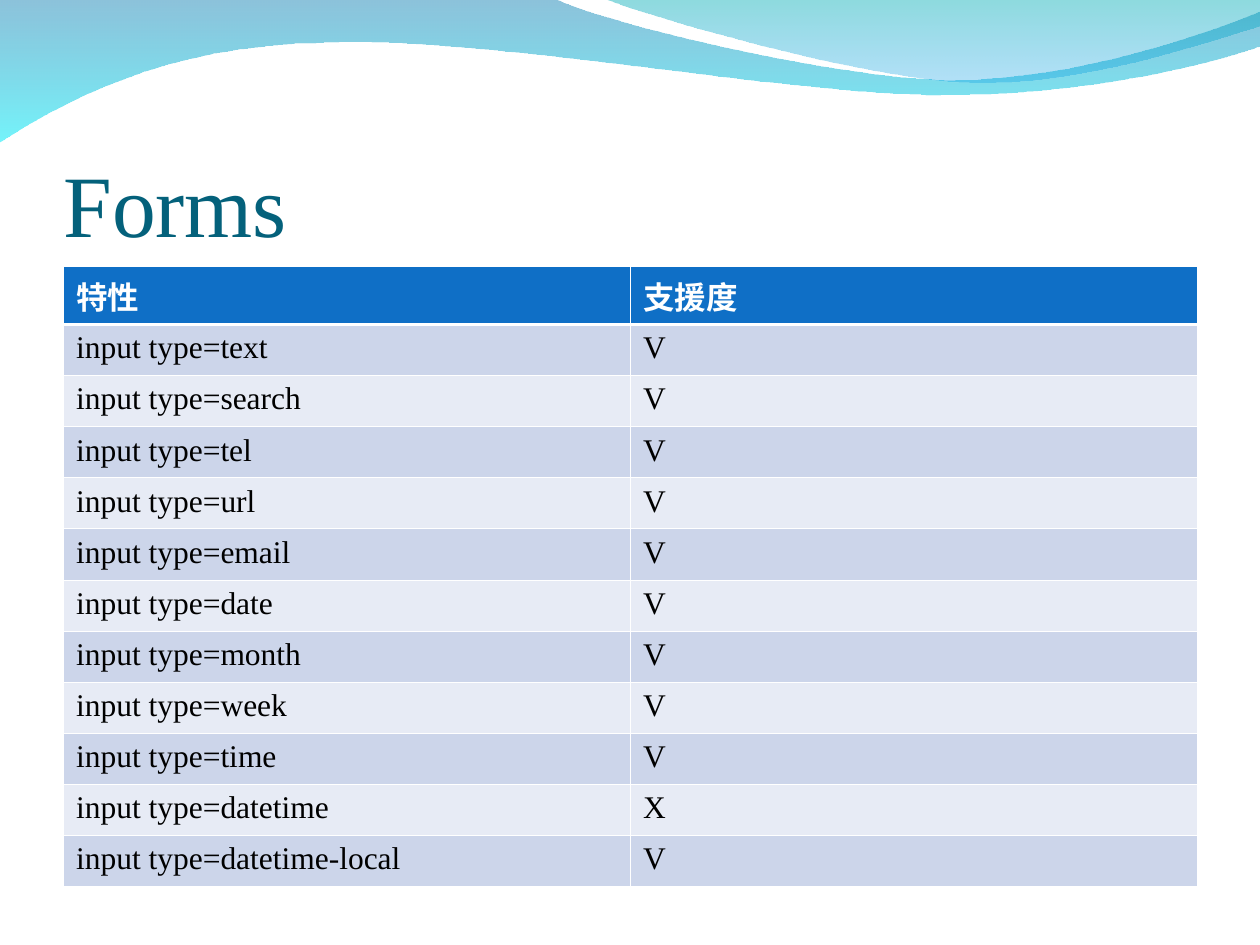
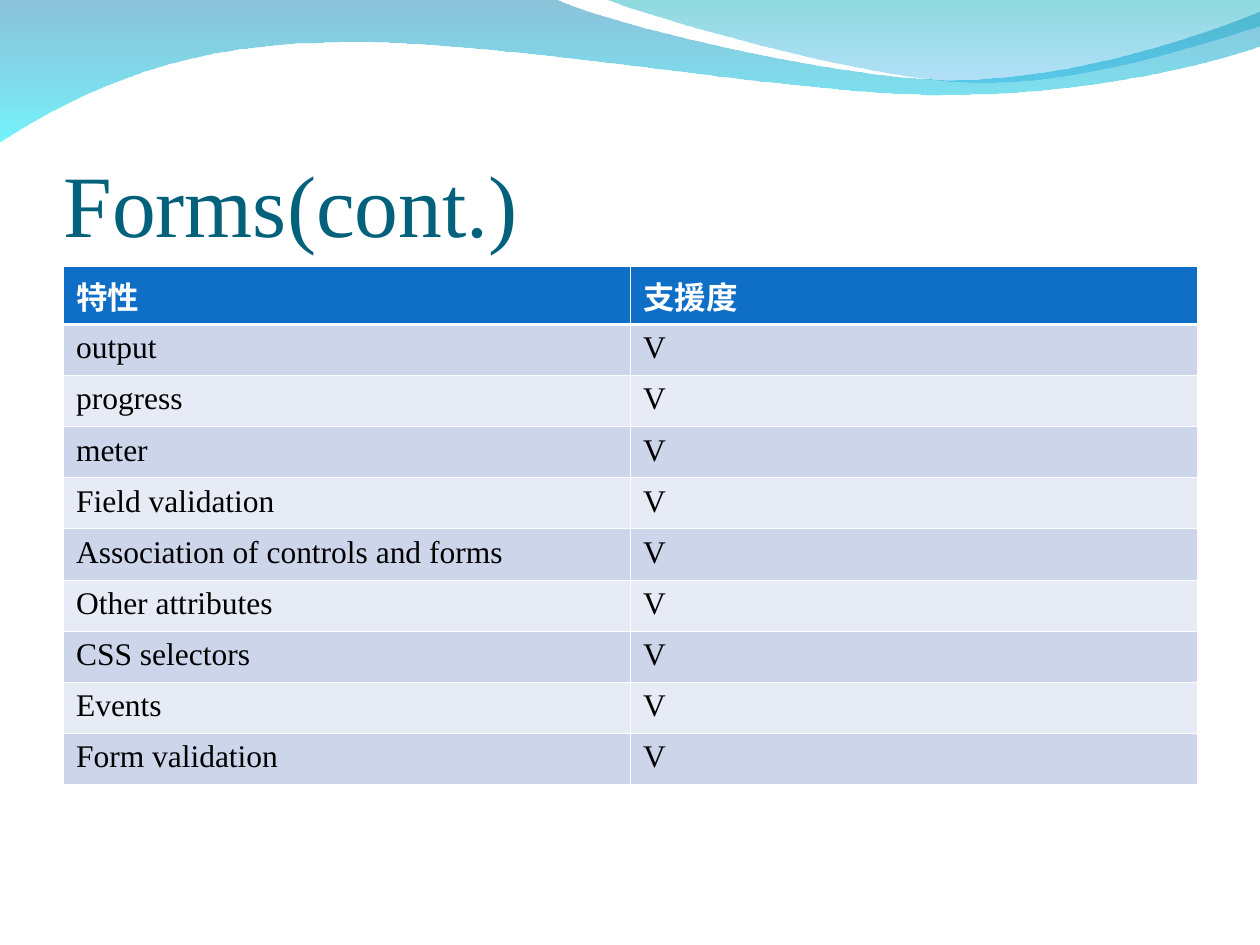
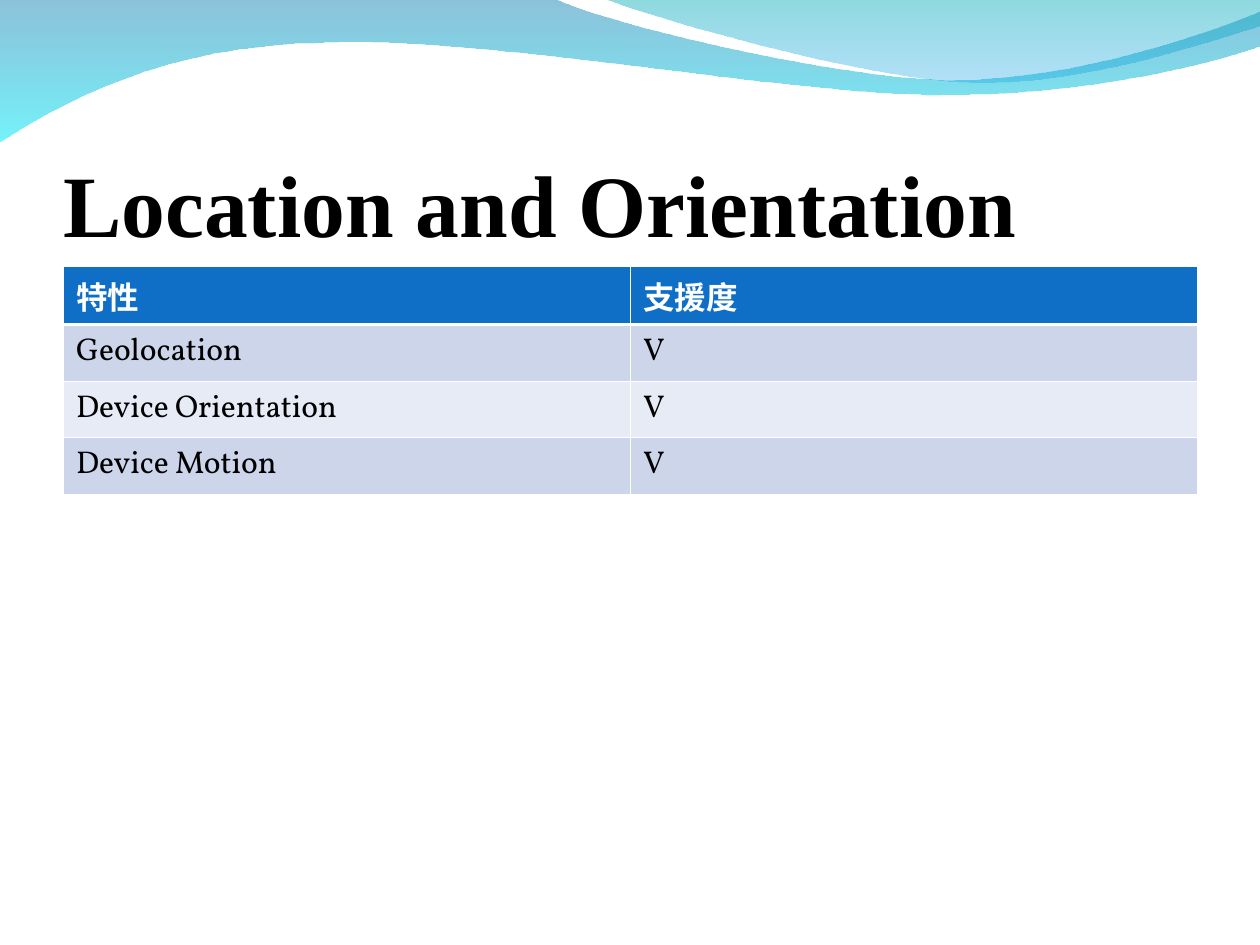
from lxml import etree
from pptx import Presentation
from pptx.dml.color import RGBColor
from pptx.enum.text import MSO_ANCHOR
from pptx.oxml import parse_xml
from pptx.oxml.ns import nsdecls, qn
from pptx.util import Cm, Pt

BOTTOM = MSO_ANCHOR.BOTTOM

SERIF = "Times New Roman"
HEADER_FONT = "Noto Sans CJK SC"
TEAL, BLACK, WHITE = "04617B", "000000", "FFFFFF"
HEADER_FILL = "0F6FC6"
BAND_FILLS = ("CCD5EA", "E7EBF5")
THIN, THICK = 0.45, 1.47

LEFT = 1.28
COLUMN_WIDTH = 11.43
TABLE_TOP = 5.37
HEADER_HEIGHT = 1.17
ROW_HEIGHTS = {SERIF: 1.03, "Vollkorn": 1.14}

HEADER = ("特性", "支援度")

SLIDES = [
    {
        "title": "Forms", "title_color": TEAL, "title_bold": False, "font": SERIF,
        "rows": [
            ("input type=text", "V"),
            ("input type=search", "V"),
            ("input type=tel", "V"),
            ("input type=url", "V"),
            ("input type=email", "V"),
            ("input type=date", "V"),
            ("input type=month", "V"),
            ("input type=week", "V"),
            ("input type=time", "V"),
            ("input type=datetime", "X"),
            ("input type=datetime-local", "V"),
        ],
    },
    {
        "title": "Forms(cont.)", "title_color": TEAL, "title_bold": False, "font": SERIF,
        "rows": [
            ("output", "V"),
            ("progress", "V"),
            ("meter", "V"),
            ("Field validation", "V"),
            ("Association of controls and forms", "V"),
            ("Other attributes", "V"),
            ("CSS selectors", "V"),
            ("Events", "V"),
            ("Form validation", "V"),
        ],
    },
    {
        "title": "Location and Orientation", "title_color": BLACK, "title_bold": True,
        "font": "Vollkorn",
        "rows": [
            ("Geolocation", "V"),
            ("Device Orientation", "V"),
            ("Device Motion", "V"),
        ],
    },
]

WAVES = [
    {
        "start": (0, -0.03),
        "segments": [
            [(11.18, -0.03)],
            [(12.09, 0.43), (16.87, 1.6), (19.25, 1.6)],
            [(21.67, 1.6), (24.33, 0.66), (25.4, 0.23)],
            [(25.43, 0.91)],
            [(24.97, 1.12), (22.1, 1.93), (18.95, 1.91)],
            [(15.8, 1.91), (9.7, 0.71), (6.53, 0.86)],
            [(3.28, 0.89), (1.17, 2.11), (-0.03, 2.87)],
        ],
        "stops": [("0079AF", 45), ("00EBF8", 55)],
    },
    {
        "start": (12.17, -0.03),
        "segments": [
            [(12.93, 0.28), (17.32, 1.57), (19.53, 1.65)],
            [(21.74, 1.75), (24.41, 0.81), (25.4, 0.53)],
            [(25.4, 0)],
        ],
        "stops": [("00ADB6", 45), ("009BE5", 30)],
    },
]


def rgb(color):
    return RGBColor.from_string(color)


def style_text(paragraph, size, name, color, bold):
    font = paragraph.font
    font.size, font.name, font.bold = Pt(size), name, bold
    font.color.rgb = rgb(color)
    defaults = paragraph._p.pPr.find(qn("a:defRPr"))
    etree.SubElement(defaults, qn("a:ea"), typeface=name)


def bend(shape, segments):
    lines = list(shape._element.iter(qn("a:lnTo")))
    for line, segment in zip(lines, segments):
        if len(segment) == 3:
            curve = etree.Element(qn("a:cubicBezTo"))
            for x, y in segment:
                etree.SubElement(curve, qn("a:pt"), x=str(Cm(x) - shape.left),
                                 y=str(Cm(y) - shape.top))
            line.getparent().replace(line, curve)


def add_wave(slide, wave):
    x, y = wave["start"]
    builder = slide.shapes.build_freeform(Cm(x), Cm(y))
    builder.add_line_segments(
        [(Cm(x), Cm(y)) for *_, (x, y) in wave["segments"]], close=True)
    shape = builder.convert_to_shape()
    bend(shape, wave["segments"])
    shape.shadow.inherit = False
    shape.line.fill.background()
    shape.fill.gradient()
    shape.fill.gradient_angle = 270
    for position, (stop, (color, opacity)) in enumerate(
            zip(shape.fill.gradient_stops, wave["stops"])):
        stop.position = position
        stop.color.rgb = rgb(color)
        color_element = stop._gs.find(qn("a:srgbClr"))
        etree.SubElement(color_element, qn("a:alpha"), val=str(opacity * 1000))


def add_title(slide, text, color, bold):
    box = slide.shapes.add_textbox(Cm(LEFT), Cm(1.96), Cm(2 * COLUMN_WIDTH), Cm(3.18))
    frame = box.text_frame
    frame.word_wrap = True
    frame.vertical_anchor = BOTTOM
    frame.margin_left = frame.margin_right = frame.margin_bottom = 0
    frame.margin_top = Cm(0.13)
    frame.text = text
    style_text(frame.paragraphs[0], 50, SERIF, color, bold)


def set_borders(cell, top, bottom):
    properties = cell._tc.get_or_add_tcPr()
    for side, width in (("L", THIN), ("R", THIN), ("T", top), ("B", bottom)):
        properties.append(parse_xml(
            f'<a:ln{side} {nsdecls("a")} w="{Pt(width)}"><a:solidFill>'
            f'<a:srgbClr val="{WHITE}"/></a:solidFill></a:ln{side}>'))


def add_support_table(slide, rows, font):
    lines = [HEADER, *rows]
    heights = [HEADER_HEIGHT] + [ROW_HEIGHTS[font]] * len(rows)
    table = slide.shapes.add_table(
        len(lines), len(HEADER), Cm(LEFT), Cm(TABLE_TOP),
        Cm(COLUMN_WIDTH * len(HEADER)), Cm(sum(heights))).table
    table.horz_banding = False
    for column in table.columns:
        column.width = Cm(COLUMN_WIDTH)
    for index, (line, height) in enumerate(zip(lines, heights)):
        table.rows[index].height = Cm(height)
        is_header = index == 0
        for cell, text in zip(table.rows[index].cells, line):
            cell.text = text
            set_borders(cell, THICK if index == 1 else THIN, THICK if is_header else THIN)
            cell.fill.solid()
            cell.fill.fore_color.rgb = rgb(
                HEADER_FILL if is_header else BAND_FILLS[(index - 1) % 2])
            style_text(cell.text_frame.paragraphs[0], 18,
                       HEADER_FONT if is_header else font,
                       WHITE if is_header else BLACK, is_header)


def main():
    deck = Presentation()
    deck.slide_width, deck.slide_height = Cm(25.4), Cm(19.05)
    blank = deck.slide_layouts[6]
    for content in SLIDES:
        slide = deck.slides.add_slide(blank)
        for wave in WAVES:
            add_wave(slide, wave)
        add_title(slide, content["title"], content["title_color"], content["title_bold"])
        add_support_table(slide, content["rows"], content["font"])
    deck.save("out.pptx")


if __name__ == "__main__":
    main()
